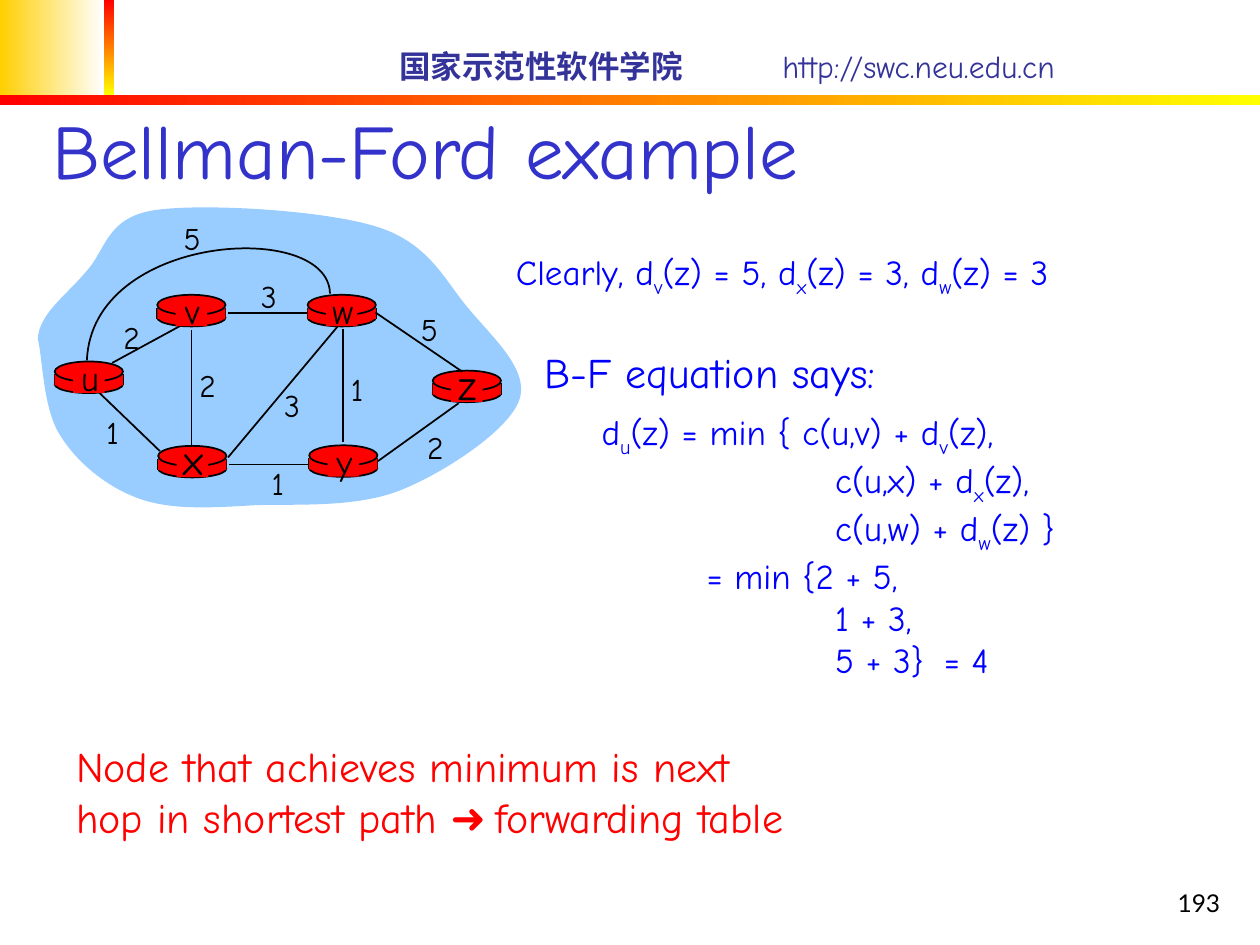
from dataclasses import dataclass
from typing import NamedTuple, Optional

from lxml.etree import SubElement
from pptx import Presentation
from pptx.dml.color import RGBColor
from pptx.enum.shapes import MSO_CONNECTOR, MSO_SHAPE
from pptx.enum.text import MSO_ANCHOR, PP_ALIGN
from pptx.oxml.ns import qn
from pptx.util import Pt


@dataclass(frozen=True)
class Theme:
    font: str = "Comic Neue"
    number_font: str = "Lato"
    symbol_font: str = "Noto Sans CJK JP"
    black: str = "000000"
    white: str = "FFFFFF"
    red: str = "FF0000"
    yellow: str = "FFFF00"
    gold: str = "FFCF01"
    cloud: str = "99CCFF"
    header: str = "333399"
    title: str = "3333CC"
    blue: str = "0000FF"
    title_size: int = 44
    large: int = 24
    body: int = 20
    label: int = 18
    number: int = 14
    line: int = 1


THEME = Theme()


class Span(NamedTuple):
    text: str
    font: Optional[str] = None
    bold: Optional[bool] = None
    subscript: bool = False
    spacing: float = 0


class Line(NamedTuple):
    spans: list[Span]
    indent: float = 0
    tab: Optional[float] = None


class Router(NamedTuple):
    name: str
    left: float
    top: float
    size: int = THEME.body


class Edge(NamedTuple):
    start: tuple[float, float]
    end: tuple[float, float]


class Cost(NamedTuple):
    value: str
    centre: float
    top: float


class Band(NamedTuple):
    left: float
    top: float
    width: float
    height: float
    first: str
    last: str
    angle: int


BANDS = [
    Band(0, 0, 59.5, 54.5, THEME.gold, THEME.white, 0),
    Band(59.5, 0, 5.8, 54.5, THEME.red, THEME.yellow, 270),
    Band(0, 54.5, 720, 5.6, THEME.red, THEME.yellow, 0),
]
CLOUD = [
    (21.6, 193.7), (22.3, 179.3), (38.2, 168.5), (49, 155.5), (60.5, 143.3), (60.5, 124.6), (87.8, 120.2),
    (115.9, 115.9), (185.8, 120.2), (215.3, 129.6), (245.5, 139), (254.2, 160.6), (267.8, 176.4),
    (281.5, 193), (303.1, 211.7), (296.6, 229), (290.2, 246.2), (254.2, 270), (229, 280.1),
    (203.8, 290.2), (170.6, 288), (146.2, 288.7), (121, 290.2), (98.6, 291.6), (79.9, 285.1),
    (61.2, 278.6), (43.9, 264.2), (34.6, 249.1), (24.5, 234), (24.5, 205.2), (21.6, 193.7),
]
ARC = [(188.6, 167.8), (187.9, 125.3), (52.6, 133.2), (49.7, 205.9)]
ROUTERS = [
    Router("u", 31.3, 206.6), Router("y", 176.7, 254.5), Router("x", 90.4, 254.8, THEME.large),
    Router("w", 175.8, 168.5), Router("v", 89.9, 168.5), Router("z", 247.3, 211.8, THEME.large),
]
EDGE_UV = Edge((64.1, 207.4), (106.6, 184.3))
EDGES = [
    Edge((196.1, 187.9), (196.1, 252.7)), Edge((109.4, 188.6), (109.4, 255.6)),
    Edge((130.3, 261.4), (193, 186.5)), Edge((216, 263.5), (262.1, 230.4)),
    Edge((176.4, 265.4), (131, 265.4)), Edge((91.4, 257.8), (56.9, 224.6)),
    Edge((175.7, 179), (130.3, 179)), Edge((264.2, 212.4), (214.6, 178.6)),
]
COSTS = [
    Cost("2", 75.2, 178.4), Cost("2", 118.7, 205.6), Cost("1", 64.4, 232.6), Cost("3", 166.9, 217.2),
    Cost("1", 158.8, 261.4), Cost("1", 204.1, 208.1), Cost("2", 248.8, 241.2), Cost("5", 245.4, 173.5),
    Cost("3", 153.7, 154.8), Cost("5", 109.8, 121.7),
]


def formula(text: str, indent: float = 0) -> Line:
    head, *rest = text.split("_")
    spans = [Span(head)]
    for part in rest:
        spans += [Span(part[0], subscript=True), Span(part[1:])]
    return Line(spans, indent)


def add_text(page, left: float, top: float, width: float, height: float, lines: list[Line], size: int,
             color: str, font: str = THEME.font, align=PP_ALIGN.LEFT, anchor=MSO_ANCHOR.TOP,
             wrap: bool = True) -> None:
    frame = page.shapes.add_textbox(Pt(left), Pt(top), Pt(width), Pt(height)).text_frame
    frame.word_wrap = wrap
    frame.vertical_anchor = anchor
    for index, line in enumerate(lines):
        para = frame.add_paragraph() if index else frame.paragraphs[0]
        para.alignment = align
        properties = para._p.get_or_add_pPr()
        if line.indent:
            properties.set("marL", str(Pt(line.indent)))
            properties.set("indent", "0")
        if line.tab:
            tabs = SubElement(properties, qn("a:tabLst"))
            SubElement(tabs, qn("a:tab"), pos=str(Pt(line.tab)), algn="l")
        para.font.name = font
        para.font.size = Pt(size)
        para.font.color.rgb = RGBColor.from_string(color)
        for span in line.spans:
            run = para.add_run()
            run.text = span.text
            if span.font:
                run.font.name = span.font
            if span.bold is not None:
                run.font.bold = span.bold
            if span.subscript:
                run._r.get_or_add_rPr().set("baseline", "-25000")
            if span.spacing:
                run._r.get_or_add_rPr().set("spc", str(round(span.spacing * 100)))


def paint(shape, fill: Optional[str], outlined: bool) -> None:
    shape.shadow.inherit = False
    if fill:
        shape.fill.solid()
        shape.fill.fore_color.rgb = RGBColor.from_string(fill)
    else:
        shape.fill.background()
    if outlined:
        shape.line.color.rgb = RGBColor.from_string(THEME.black)
        shape.line.width = Pt(THEME.line)
    else:
        shape.line.fill.background()


def add_block(page, kind, left: float, top: float, width: float, height: float, outlined: bool) -> None:
    paint(page.shapes.add_shape(kind, Pt(left), Pt(top), Pt(width), Pt(height)), THEME.red, outlined)


def add_band(page, band: Band) -> None:
    shape = page.shapes.add_shape(MSO_SHAPE.RECTANGLE, Pt(band.left), Pt(band.top), Pt(band.width), Pt(band.height))
    paint(shape, None, False)
    shape.fill.gradient()
    shape.fill.gradient_angle = band.angle
    for stop, color in zip(shape.fill.gradient_stops, (band.first, band.last)):
        stop.color.rgb = RGBColor.from_string(color)


def add_edge(page, edge: Edge) -> None:
    connector = page.shapes.add_connector(MSO_CONNECTOR.STRAIGHT, *map(Pt, edge.start + edge.end))
    connector.line.color.rgb = RGBColor.from_string(THEME.black)
    connector.line.width = Pt(THEME.line)
    SubElement(connector._element.spPr, qn("a:effectLst"))


def add_curve(page, points: list[tuple[float, float]], fill: Optional[str]) -> None:
    builder = page.shapes.build_freeform(*map(Pt, points[0]))
    builder.add_line_segments([(Pt(x), Pt(y)) for x, y in points[1:]], close=fill is not None)
    shape = builder.convert_to_shape()
    segments = list(shape._element.iter(qn("a:lnTo")))
    for first in range(0, len(segments), 3):
        curve = segments[first].makeelement(qn("a:cubicBezTo"))
        segments[first].addprevious(curve)
        for segment in segments[first:first + 3]:
            curve.append(segment[0])
            segment.getparent().remove(segment)
    paint(shape, fill, fill is None)


def add_router(page, router: Router, width: float = 39) -> None:
    left, middle = router.left, router.top + 7.3
    add_block(page, MSO_SHAPE.OVAL, left, middle + 0.7, width, 10, True)
    for side in (left, left + width):
        add_edge(page, Edge((side, middle), (side, middle + 6.4)))
    add_block(page, MSO_SHAPE.RECTANGLE, left, middle, width, 6.4, False)
    add_block(page, MSO_SHAPE.OVAL, left, router.top, width, 11.5, True)


def add_router_name(page, router: Router) -> None:
    add_block(page, MSO_SHAPE.RECTANGLE, router.left + 10.5, router.top + 1.4, 18, 16.5, False)
    add_text(page, router.left + 6.6, router.top + 13.5 - router.size, 27, router.size * 1.5,
             [formula(router.name)], router.size, THEME.black, align=PP_ALIGN.CENTER, wrap=False)


def main() -> None:
    deck = Presentation()
    deck.slide_width, deck.slide_height = Pt(720), Pt(540)
    page = deck.slides.add_slide(deck.slide_layouts[6])
    for band in BANDS:
        add_band(page, band)
    header = Line([Span("国家示范性软件学院\t", bold=True), Span("http://swc.neu.edu.cn")], tab=219)
    add_text(page, 221, 23, 499, 29, [header], THEME.label, THEME.header, anchor=MSO_ANCHOR.MIDDLE)
    add_text(page, 554.4, 492, 150, 36, [formula("193")], THEME.number, THEME.black, THEME.number_font,
             PP_ALIGN.RIGHT, MSO_ANCHOR.BOTTOM)
    add_text(page, 23, 0, 613, 115, [formula("Bellman-Ford example")], THEME.title_size, THEME.title,
             anchor=MSO_ANCHOR.BOTTOM)
    add_curve(page, CLOUD, THEME.cloud)
    add_edge(page, EDGE_UV)
    for router in ROUTERS:
        add_router(page, router)
    for edge in EDGES:
        add_edge(page, edge)
    add_curve(page, ARC, None)
    for router in ROUTERS:
        add_router_name(page, router)
    for cost in COSTS:
        add_text(page, cost.centre - 12.5, cost.top, 25, 29, [formula(cost.value)], THEME.label, THEME.black,
                 align=PP_ALIGN.CENTER, wrap=False)
    add_text(page, 287.7, 139.7, 397, 32, [formula("Clearly, d_v(z) = 5, d_x(z) = 3, d_w(z) = 3")],
             THEME.body, THEME.blue)
    equation = [
        formula("d_u(z) = min { c(u,v) + d_v(z),"),
        formula("c(u,x) + d_x(z),", 133.5), formula("c(u,w) + d_w(z) }", 133.5),
        formula("= min {2 + 5,", 60), formula("1 + 3,", 133.5),
        Line([Span("5 + 3}"), Span(" ", spacing=4.6), Span("= 4")], 133.5),
    ]
    add_text(page, 336.7, 231.2, 340, 153, equation, THEME.body, THEME.blue)
    conclusion = [
        formula("Node that achieves minimum is next"),
        Line([Span("hop in shortest path "), Span("➜ ", THEME.symbol_font), Span("forwarding table")]),
    ]
    add_text(page, 36.4, 419.8, 472, 65, conclusion, THEME.large, THEME.red)
    add_text(page, 304, 194.4, 217, 36, [formula("B-F equation says:")], THEME.large, THEME.blue)
    deck.save("out.pptx")


if __name__ == "__main__":
    main()
